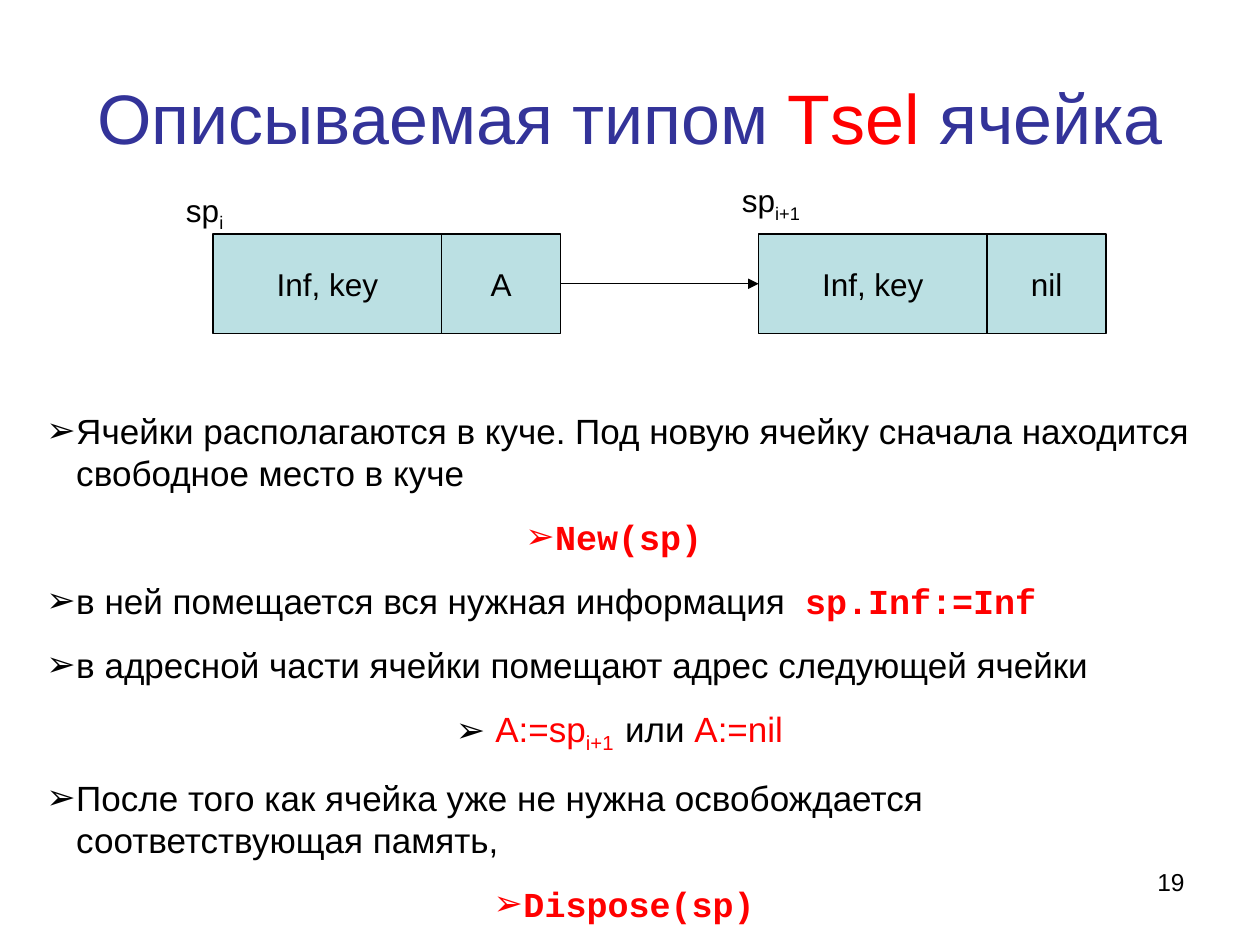
"""Build the slide that describes a Tsel list cell."""
from dataclasses import dataclass

import lxml.etree
import pptx
import pptx.dml.color
import pptx.enum.shapes
import pptx.enum.text
import pptx.oxml.ns
import pptx.util

Pt = pptx.util.Pt
qn = pptx.oxml.ns.qn
ALIGN = pptx.enum.text.PP_ALIGN
ANCHOR = pptx.enum.text.MSO_ANCHOR
BLACK, RED, NAVY, CELL_FILL = "000000", "FF0000", "333399", "BBE0E3"
SANS, MONO = "Arial", "Courier New"
CELL_TOP, CELL_HEIGHT, LINE_WIDTH = 133.8, 56.7, 0.74
KEY_WIDTH, LINK_WIDTH = 130.5, 68
HANG = 17


@dataclass
class Run:
    text: str
    color: str = BLACK
    font: str = SANS
    bold: bool = False
    sub: bool = False


@dataclass
class Para:
    runs: list[Run]
    align: ALIGN = ALIGN.LEFT
    before: float = 0
    bullet: str = ""


@dataclass
class Node:
    left: float
    link: str


@dataclass
class Label:
    left: float
    top: float
    index: str


def rgb(color: str) -> pptx.dml.color.RGBColor:
    return pptx.dml.color.RGBColor.from_string(color)


def add_bullet(p, color: str) -> None:
    pPr = p._p.get_or_add_pPr()
    pPr.set("marL", str(Pt(HANG)))
    pPr.set("indent", str(-Pt(HANG)))
    buClr = lxml.etree.SubElement(pPr, qn("a:buClr"))
    lxml.etree.SubElement(buClr, qn("a:srgbClr"), val=color)
    lxml.etree.SubElement(pPr, qn("a:buFont"), typeface=SANS)
    lxml.etree.SubElement(pPr, qn("a:buChar"), char="➢")


def fill_text(tf, paras: list[Para], size: float) -> None:
    for i, para in enumerate(paras):
        p = tf.paragraphs[0] if i == 0 else tf.add_paragraph()
        p.alignment = para.align
        p.space_before = Pt(para.before)
        if para.bullet:
            add_bullet(p, para.bullet)
        for run in para.runs:
            r = p.add_run()
            r.text = run.text
            r.font.size = Pt(size)
            r.font.name = run.font
            r.font.bold = run.bold
            r.font.color.rgb = rgb(run.color)
            if run.sub:
                r._r.get_or_add_rPr().set("baseline", "-25000")


def add_text(s, left: float, top: float, width: float, height: float,
             paras: list[Para], size: float, anchor: ANCHOR = ANCHOR.TOP) -> None:
    sp = s.shapes.add_textbox(Pt(left), Pt(top), Pt(width), Pt(height))
    tf = sp.text_frame
    tf.word_wrap = True
    tf.vertical_anchor = anchor
    fill_text(tf, paras, size)


def add_cell(s, left: float, width: float, text: str) -> None:
    sp = s.shapes.add_shape(pptx.enum.shapes.MSO_SHAPE.RECTANGLE,
                            Pt(left), Pt(CELL_TOP), Pt(width), Pt(CELL_HEIGHT))
    sp.shadow.inherit = False
    sp.fill.solid()
    sp.fill.fore_color.rgb = rgb(CELL_FILL)
    sp.line.color.rgb = rgb(BLACK)
    sp.line.width = Pt(LINE_WIDTH)
    tf = sp.text_frame
    tf.word_wrap = False
    tf.vertical_anchor = ANCHOR.MIDDLE
    fill_text(tf, [Para([Run(text)], ALIGN.CENTER)], 18)


def add_arrow(s, x1: float, x2: float, y: float) -> None:
    sp = s.shapes.add_connector(pptx.enum.shapes.MSO_CONNECTOR.STRAIGHT,
                                Pt(x1), Pt(y), Pt(x2), Pt(y))
    sp.line.color.rgb = rgb(BLACK)
    sp.line.width = Pt(LINE_WIDTH)
    lxml.etree.SubElement(sp.line._get_or_add_ln(), qn("a:tailEnd"), type="triangle")
    lxml.etree.SubElement(sp._element.spPr, qn("a:effectLst"))


def step(*runs: Run, align: ALIGN = ALIGN.LEFT, bullet: str = BLACK) -> Para:
    return Para(list(runs), align, 12.5, bullet)


def code(text: str) -> Run:
    return Run(text, RED, MONO, bold=True)


NODES = [Node(121.8, "A"), Node(433.5, "nil")]
LABELS = [Label(416.9, 100.1, "i+1"), Label(99.2, 105.4, "i")]
TITLE = Para([Run("Описываемая типом ", NAVY), Run("Тsel", RED), Run(" ячейка", NAVY)],
             ALIGN.CENTER)
STEPS = [
    step(Run("Ячейки располагаются в куче. Под новую ячейку сначала находится "
             "свободное место в куче")),
    step(code("New(sp) "), align=ALIGN.CENTER, bullet=RED),
    step(Run("в ней помещается вся нужная информация  "), code("sp.Inf:=Inf")),
    step(Run("в адресной части ячейки помещают адрес следующей ячейки")),
    step(Run(" "), Run("A:=sp", RED), Run("i+1  ", RED, sub=True), Run("или "),
         Run("A:=nil ", RED), align=ALIGN.CENTER),
    step(Run("После того как ячейка уже не нужна освобождается соответствующая память,")),
    step(code("Dispose(sp)"), align=ALIGN.CENTER, bullet=RED),
]

prs = pptx.Presentation()
prs.slide_width, prs.slide_height = Pt(720), Pt(540)
s = prs.slides.add_slide(prs.slide_layouts[6])

add_text(s, 36, 21.6, 648, 90, [TITLE], 40, ANCHOR.MIDDLE)
for node in NODES:
    add_cell(s, node.left, KEY_WIDTH, "Inf, key")
    add_cell(s, node.left + KEY_WIDTH, LINK_WIDTH, node.link)
add_arrow(s, NODES[0].left + KEY_WIDTH + LINK_WIDTH, NODES[1].left,
          CELL_TOP + CELL_HEIGHT / 2)
for label in LABELS:
    add_text(s, label.left, label.top, 62.6, 31.7,
             [Para([Run("sp"), Run(label.index, sub=True)], before=11.2)], 18)
add_text(s, 19.5, 230.4, 674.6, 301.7, STEPS, 20)
add_text(s, 516.2, 491.8, 167.8, 37.4, [Para([Run("19")], ALIGN.RIGHT)], 14)

prs.save("out.pptx")
